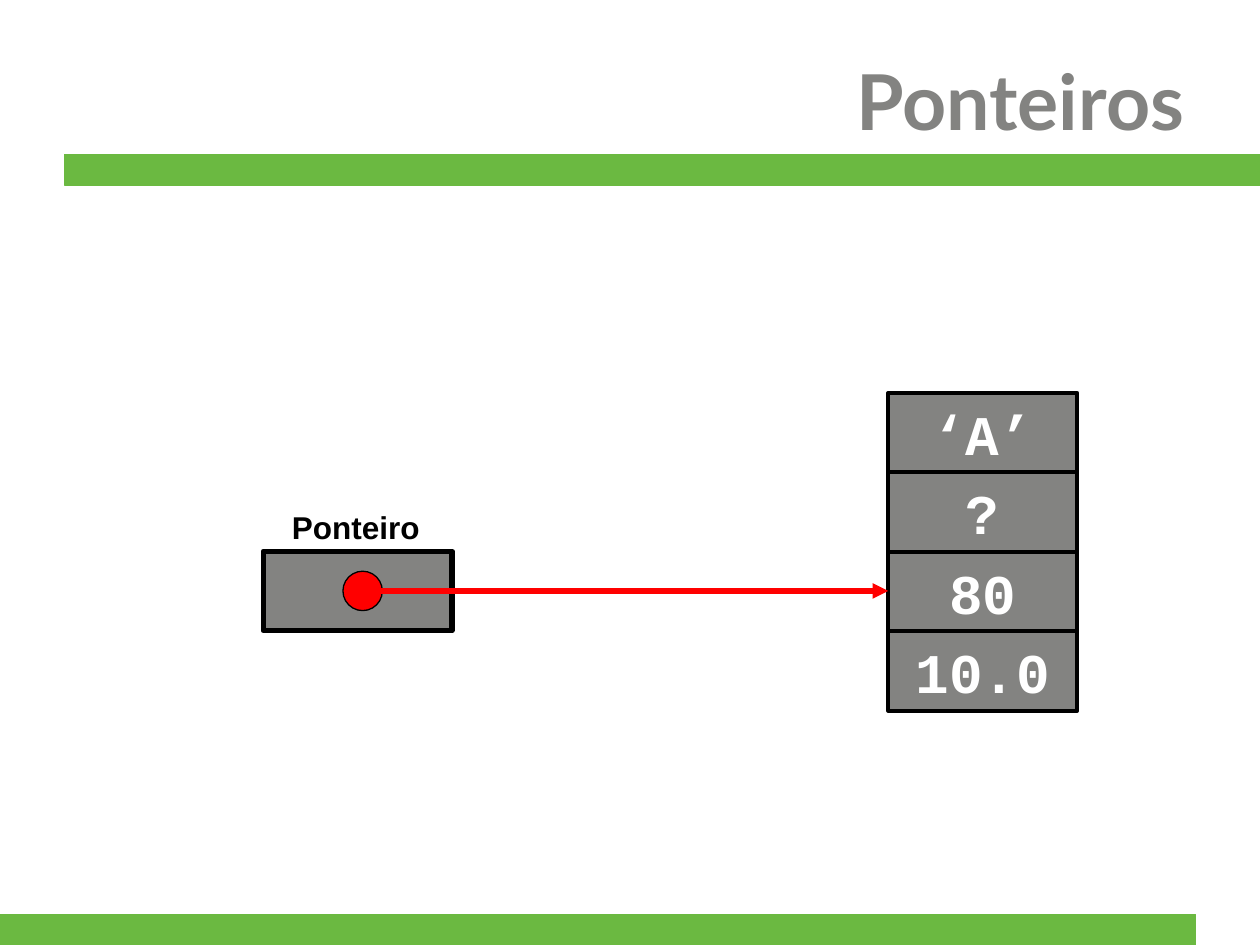
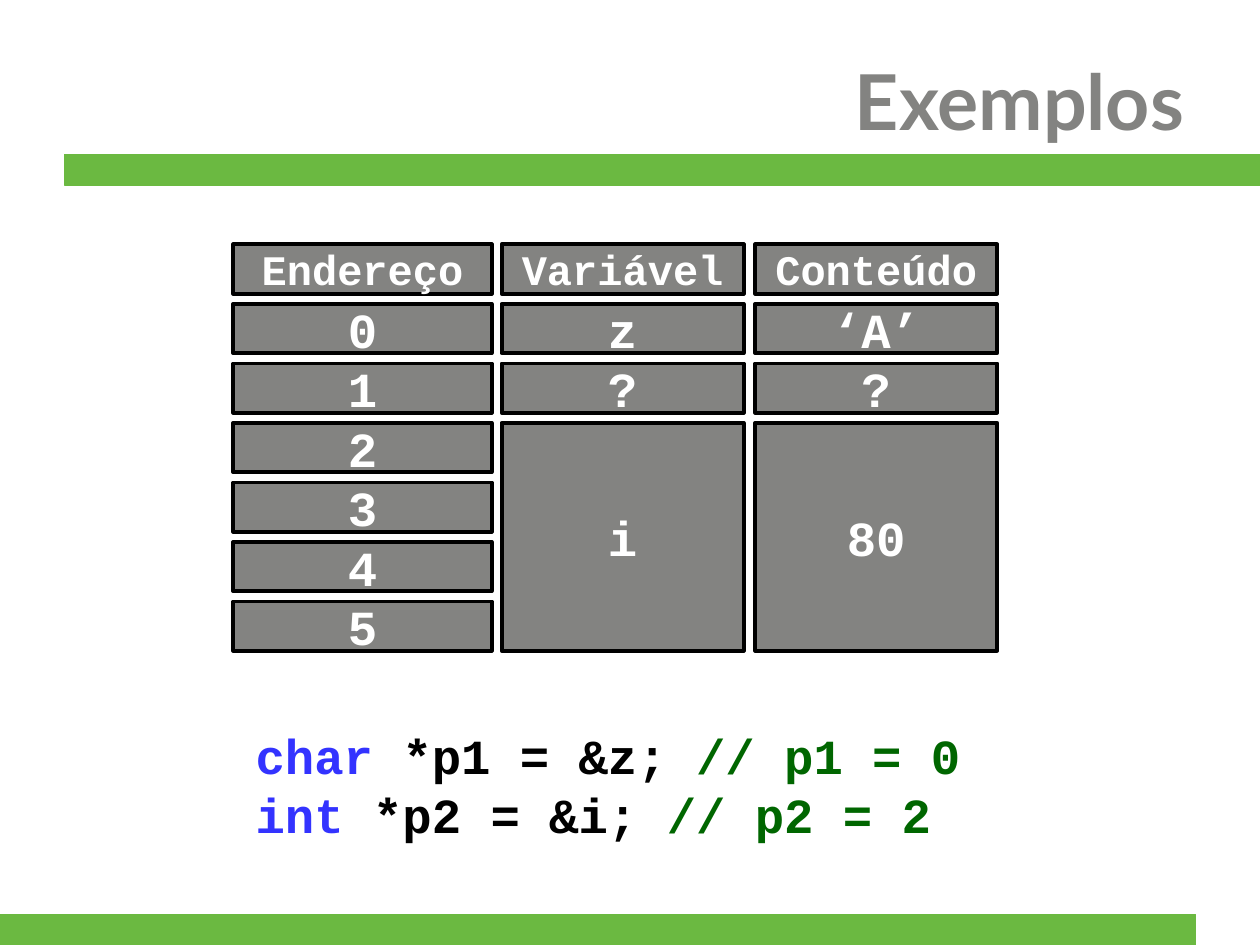
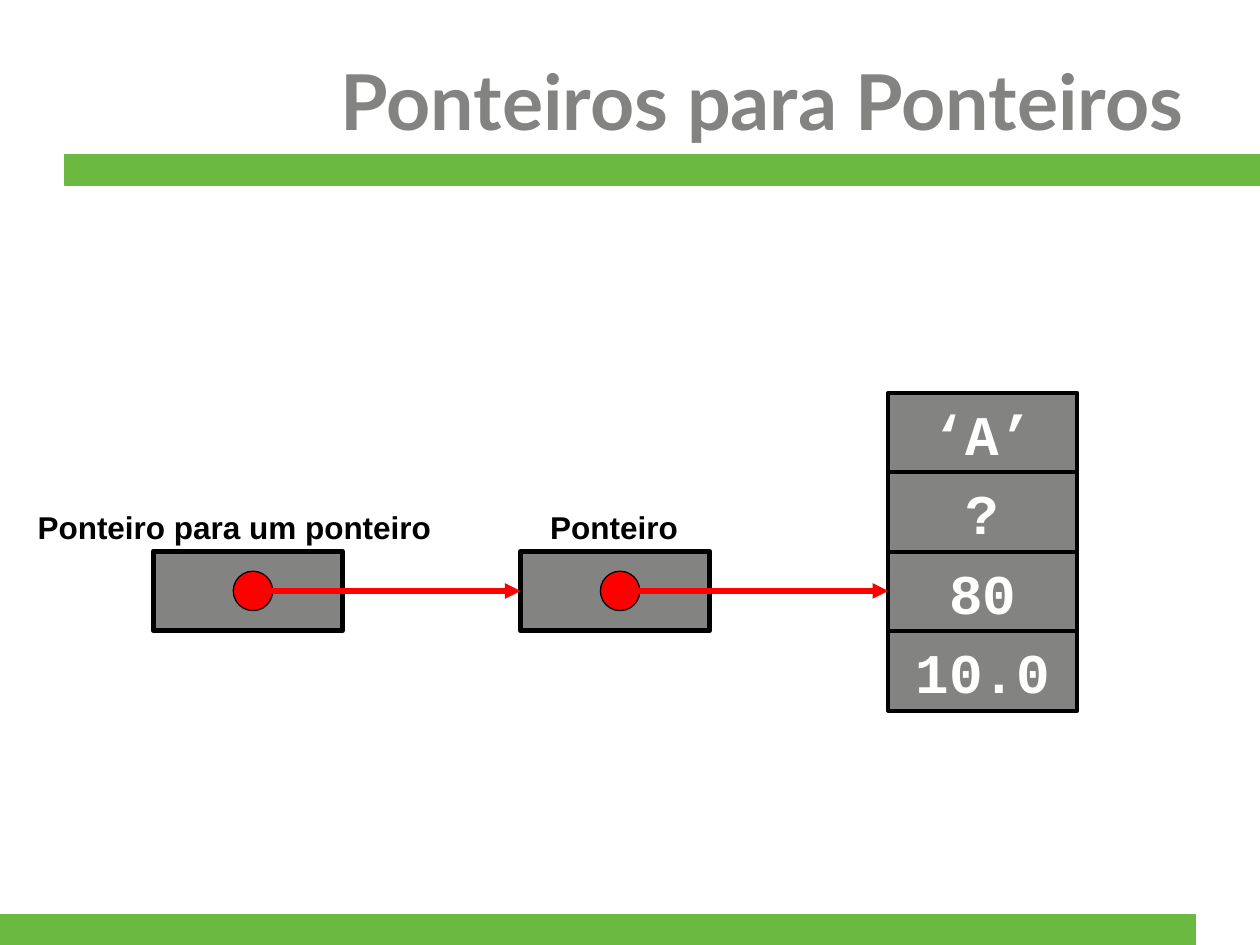
from lxml.etree import SubElement
from pptx import Presentation
from pptx.dml.color import RGBColor
from pptx.enum.shapes import MSO_CONNECTOR, MSO_SHAPE
from pptx.enum.text import MSO_ANCHOR, MSO_AUTO_SIZE, PP_ALIGN
from pptx.oxml.ns import qn
from pptx.util import Pt

GREEN, GRAY, RED = "6BB941", "838381", "FF0000"
BLACK, WHITE = "000000", "FFFFFF"
BLUE, LEAF = "3333FF", "006600"
MONO = "Courier New"

BANDS = [(36.7, 88.4, 683.3, 17.4), (0, 522.6, 683.3, 17.4)]
VALUES = ["‘A’", "?", "80", "10.0"]
ONE = [("Ponteiro", 150.4, 159.8, 92)]
TWO = [
    ("Ponteiro", 297.5, 307.3, 92),
    ("Ponteiro para um ponteiro", 87.7, 14.4, 260.6),
]
TABLE = [
    (133.3, 147.6, [("Endereço", 1), ("0", 1), ("1", 1), ("2", 1),
                    ("3", 1), ("4", 1), ("5", 1)]),
    (286.6, 138.3, [("Variável", 1), ("z", 1), ("?", 1), ("i", 4)]),
    (431.5, 138.3, [("Conteúdo", 1), ("‘A’", 1), ("?", 1), ("80", 4)]),
]
CODE = [
    [("char ", BLUE), ("*p1 = &z; ", BLACK), ("// p1 = 0", LEAF)],
    [("int ", BLUE), ("*p2 = &i; ", BLACK), ("// p2 = 2", LEAF)],
]

STACK, TOP, WIDE, HIGH = 507.6, 224.6, 108, 45.4
LEVEL = 337.7
DOT = 22.5


def color(code):
    return RGBColor.from_string(code)


def text(shape, words, size=18, face="Arial", ink=BLACK,
         align=PP_ALIGN.LEFT, anchor=MSO_ANCHOR.TOP, wrap=True):
    frame = shape.text_frame
    frame.word_wrap = wrap
    frame.auto_size = MSO_AUTO_SIZE.NONE
    frame.vertical_anchor = anchor
    lines = [[(words, ink)]] if isinstance(words, str) else words
    for i, line in enumerate(lines):
        para = frame.add_paragraph() if i else frame.paragraphs[0]
        para.alignment = align
        for part, tint in line:
            run = para.add_run()
            run.text = part
            font = run.font
            font.name, font.size, font.bold = face, Pt(size), True
            font.color.rgb = color(tint)


def block(shapes, box, fill=GRAY, line=BLACK, width=2.25, kind=MSO_SHAPE.RECTANGLE):
    shape = shapes.add_shape(kind, *map(Pt, box))
    shape.shadow.inherit = False
    shape.fill.solid()
    shape.fill.fore_color.rgb = color(fill)
    shape.line.color.rgb = color(line)
    shape.line.width = Pt(width)
    return shape


def cell(shapes, box, words, size):
    text(block(shapes, box), words, size=size, face=MONO, ink=WHITE,
         align=PP_ALIGN.CENTER, anchor=MSO_ANCHOR.MIDDLE, wrap=False)


def arrow(shapes, start, end):
    link = shapes.add_connector(MSO_CONNECTOR.STRAIGHT, Pt(start), Pt(LEVEL),
                                Pt(end), Pt(LEVEL))
    link.line.color.rgb = color(RED)
    link.line.width = Pt(3)
    SubElement(link.line._get_or_add_ln(), qn("a:tailEnd"), type="triangle")
    SubElement(link.element.spPr, qn("a:effectLst"))


def label(shapes, box, words, **form):
    text(shapes.add_textbox(*map(Pt, box)), words, **form)


def diagram(slide, nodes):
    shapes = slide.shapes
    group = shapes.add_group_shape()
    for i, value in enumerate(VALUES):
        cell(group.shapes, (STACK, TOP + i * HIGH, WIDE, HIGH), value, 32)
    goal = STACK
    for name, left, edge, width in nodes:
        block(shapes, (left, LEVEL - HIGH / 2, WIDE, HIGH), width=3)
        block(shapes, (left + 45.6, LEVEL - DOT / 2, DOT, DOT), fill=RED,
              width=0.75, kind=MSO_SHAPE.OVAL)
        arrow(shapes, left + 51, goal)
        label(shapes, (edge, 287, width, 29), name)
        goal = left


def memory(slide, columns):
    label(slide.shapes, (139, 411, 430.6, 75), CODE, size=28, face=MONO)
    top, step, high = 139.7, 34, 28.1
    for left, width, items in columns:
        row = 0
        for words, span in items:
            box = (left, top + row * step, width, (span - 1) * step + high)
            cell(slide.shapes, box, words, 28 if row else 24)
            row += span


def main():
    deck = Presentation()
    deck.slide_width, deck.slide_height = Pt(720), Pt(540)
    layout = deck.slide_layouts[5]
    head = layout.placeholders[0]
    head.left, head.top, head.width, head.height = map(Pt, (36, 31.7, 648, 51))

    pages = [("Ponteiros", diagram, ONE), ("Exemplos", memory, TABLE),
             ("Ponteiros para Ponteiros", diagram, TWO)]
    for i, (title, draw, data) in enumerate(pages):
        slide = deck.slides.add_slide(layout)
        if i == 0:
            for box in BANDS:
                band = block(slide.shapes, box, fill=GREEN, line=GREEN, width=0.75)
                layout.shapes.element.append(band.element)
        text(slide.shapes.title, title, size=44, face="Lato", ink=GRAY,
             align=PP_ALIGN.RIGHT, anchor=MSO_ANCHOR.MIDDLE)
        draw(slide, data)
    deck.save("out.pptx")


if __name__ == "__main__":
    main()
